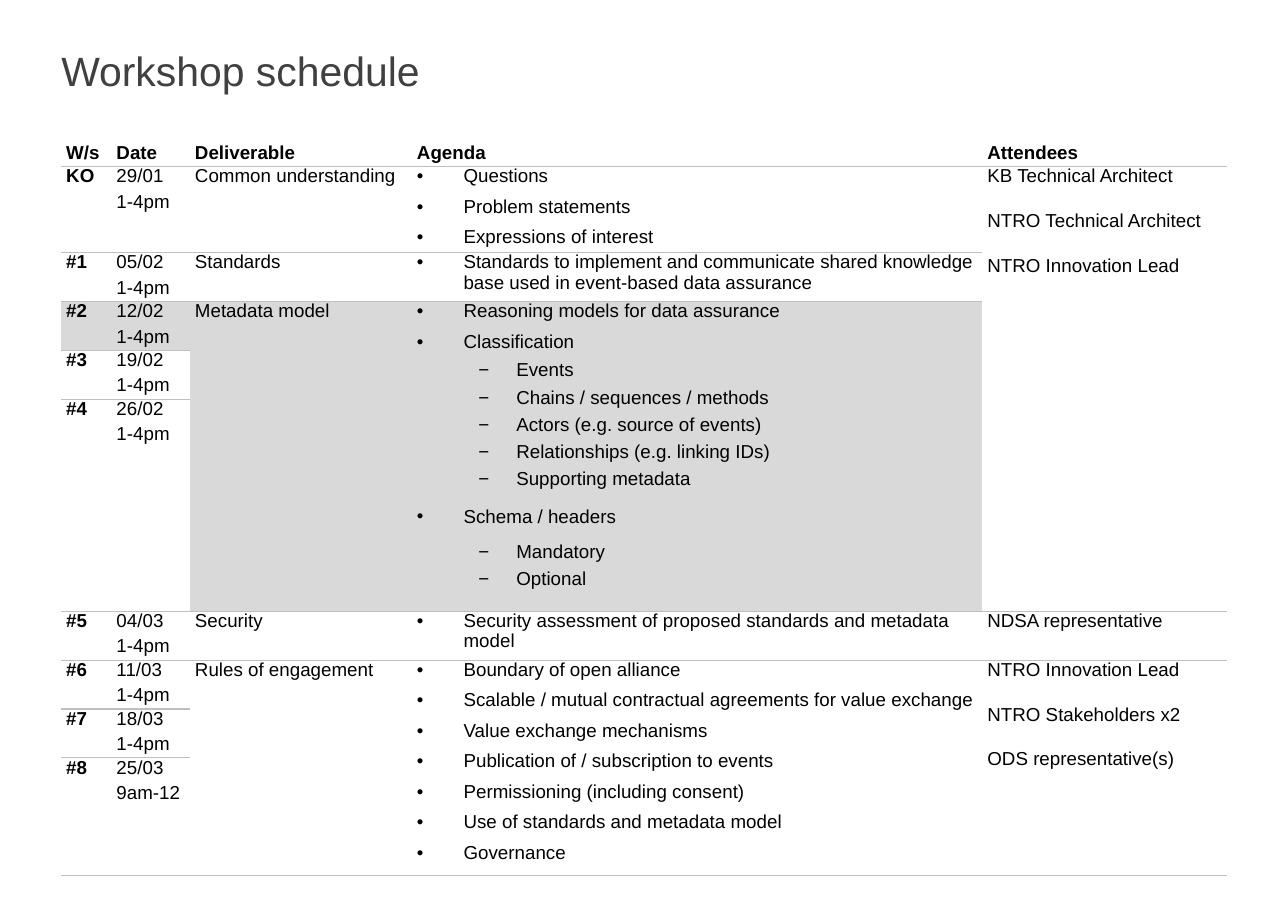
"""Build the workshop schedule slide."""
from lxml import etree
from pptx import Presentation, util as u
from pptx.dml.color import RGBColor
from pptx.enum import text
from pptx.oxml.ns import qn

COLORS = {"title": "404040", "text": "000000", "line": "BFBFBF", "shade": "D9D9D9"}
NO_STYLE = "{2D5ABB26-0587-4C30-8999-92F81FD0307C}"

HEADER = dict(bold=True, spacing=1.9)
LABEL = dict(bold=True, before=7.2, after=7.2)
PLAIN = dict(before=7.2, after=7.2)
DATE = dict(before=3, after=3)
TIME = dict(after=3)
BULLET = dict(before=3, after=3, bullet="•", left=0.38, hang=0.38)
SECTION = BULLET | dict(before=7.2, after=7.2, spacing=1.05)
DASH = dict(before=2, after=2, bullet="−", left=0.81, hang=0.31, level=1)


def add_text(tf, content, first=False, size=11, color="text", bold=False, spacing=0.97,
             before=0, after=0, bullet=None, left=0, hang=0, level=0):
    """Add one formatted paragraph to a text frame."""
    p = tf.paragraphs[0] if first else tf.add_paragraph()
    p.level = level
    p.alignment = text.PP_ALIGN.LEFT
    p.space_before, p.space_after = u.Pt(before), u.Pt(after)
    p.line_spacing = spacing
    pPr = p._p.get_or_add_pPr()
    pPr.set("marL", str(u.Inches(left)))
    pPr.set("indent", str(-u.Inches(hang)))
    if bullet:
        etree.SubElement(pPr, qn("a:buFont"), typeface="Arial")
        etree.SubElement(pPr, qn("a:buChar"), char=bullet)
    else:
        etree.SubElement(pPr, qn("a:buNone"))
    r = p.add_run()
    r.text = content
    r.font.name, r.font.size, r.font.bold = "Arial", u.Pt(size), bold
    r.font.color.rgb = RGBColor.from_string(COLORS[color])


def styled(fmt, *lines):
    """Pair each line with the same format."""
    return [(line, fmt) for line in lines]


def session(label, date, hours="1-4pm"):
    """Return the label and date cells of one workshop."""
    return [styled(LABEL, label), [(date, DATE), (hours, TIME)]]


class Deck:
    """Hold the slide, its grid and its style."""

    def __init__(self, width, height, columns, rows):
        """Start a one-slide deck with a grid."""
        self.prs = Presentation()
        self.prs.slide_width, self.prs.slide_height = u.Inches(width), u.Inches(height)
        self.col, self.row = self.prs.slide_width / columns, self.prs.slide_height / rows
        self.s = self.prs.slides.add_slide(self.prs.slide_layouts[6])

    def box(self, x, y, w, h):
        """Turn grid units into lengths."""
        return (u.Emu(round(x * self.col)), u.Emu(round(y * self.row)),
                u.Emu(round(w * self.col)), u.Emu(round(h * self.row)))

    def title(self, content, *place):
        """Add the slide title."""
        tf = self.s.shapes.add_textbox(*self.box(*place)).text_frame
        tf.word_wrap = True
        tf.margin_left = tf.margin_right = tf.margin_top = tf.margin_bottom = 0
        add_text(tf, content, first=True, size=24, color="title", spacing=0.88)

    def cell(self, cell, lines, shaded, ruled):
        """Fill in and style one table cell."""
        cell.margin_left = cell.margin_right = u.Inches(0.04)
        cell.margin_top = cell.margin_bottom = 0
        for i, (line, fmt) in enumerate(lines or []):
            add_text(cell.text_frame, line, first=i == 0, **fmt)
        cell.text_frame.paragraphs[-1].space_after = u.Pt(0)
        if ruled:
            ln = etree.SubElement(cell._tc.get_or_add_tcPr(), qn("a:lnB"), w=str(u.Pt(0.75)))
            fill = etree.SubElement(ln, qn("a:solidFill"))
            etree.SubElement(fill, qn("a:srgbClr"), val=COLORS["line"])
        if shaded:
            cell.fill.solid()
            cell.fill.fore_color.rgb = RGBColor.from_string(COLORS["shade"])
        else:
            cell.fill.background()

    def table(self, x, y, widths, heights, rows, shaded_row):
        """Add a table in which None continues the cell above."""
        place = self.box(x, y, sum(widths), sum(heights))
        tbl = self.s.shapes.add_table(len(rows), len(widths), *place).table
        tbl.first_row = tbl.horz_banding = False
        tbl._tbl.tblPr.find(qn("a:tableStyleId")).text = NO_STYLE
        for column, width in zip(tbl.columns, widths):
            column.width = u.Emu(round(width * self.col))
        for row, height in zip(tbl.rows, heights):
            row.height = u.Emu(round(height * self.row))
        for c in range(len(widths)):
            starts = [r for r, row in enumerate(rows) if row[c] is not None]
            for start, end in zip(starts, starts[1:] + [len(rows)]):
                shaded = start == shaded_row
                for r in range(start, end):
                    self.cell(tbl.cell(r, c), rows[r][c], shaded, r in (start, end - 1))
                if end - start > 1:
                    tbl.cell(start, c).merge(tbl.cell(end - 1, c))


SPANNED = [None, None, None]
SCHEDULE = [
    [styled(HEADER, name) for name in ("W/s", "Date", "Deliverable", "Agenda", "Attendees")],
    session("KO", "29/01") + [
        styled(PLAIN, "Common understanding"),
        styled(BULLET, "Questions", "Problem statements", "Expressions of interest"),
        styled(PLAIN, "KB Technical Architect", "NTRO Technical Architect",
               "NTRO Innovation Lead")],
    session("#1", "05/02") + [
        styled(PLAIN, "Standards"),
        styled(BULLET, "Standards to implement and communicate shared knowledge "
                       "base used in event-based data assurance"),
        None],
    session("#2", "12/02") + [
        styled(PLAIN, "Metadata model"),
        styled(BULLET, "Reasoning models for data assurance", "Classification")
        + styled(DASH, "Events", "Chains / sequences / methods",
                 "Actors (e.g. source of events)", "Relationships (e.g. linking IDs)",
                 "Supporting metadata")
        + styled(SECTION, "Schema / headers")
        + styled(DASH, "Mandatory", "Optional"),
        None],
    session("#3", "19/02") + SPANNED,
    session("#4", "26/02") + SPANNED,
    session("#5", "04/03") + [
        styled(PLAIN, "Security"),
        styled(BULLET, "Security assessment of proposed standards and metadata model"),
        styled(PLAIN, "NDSA representative")],
    session("#6", "11/03") + [
        styled(PLAIN, "Rules of engagement"),
        styled(BULLET, "Boundary of open alliance",
               "Scalable / mutual contractual agreements for value exchange",
               "Value exchange mechanisms", "Publication of / subscription to events",
               "Permissioning (including consent)", "Use of standards and metadata model",
               "Governance"),
        styled(PLAIN, "NTRO Innovation Lead", "NTRO Stakeholders x2",
               "ODS representative(s)")],
    session("#7", "18/03") + SPANNED,
    session("#8", "25/03", "9am-12") + SPANNED,
]

deck = Deck(10.5, 7.5, columns=105, rows=75)
deck.title("Workshop schedule", 5, 4.2, 95, 8.3)
deck.table(5, 10.1, widths=[4.1, 6.4, 18.1, 46.5, 19.9],
           heights=[3.4, 6.8] + [3.8] * 3 + [17.3] + [3.8] * 3 + [9.6],
           rows=SCHEDULE, shaded_row=3)
deck.prs.save("out.pptx")
